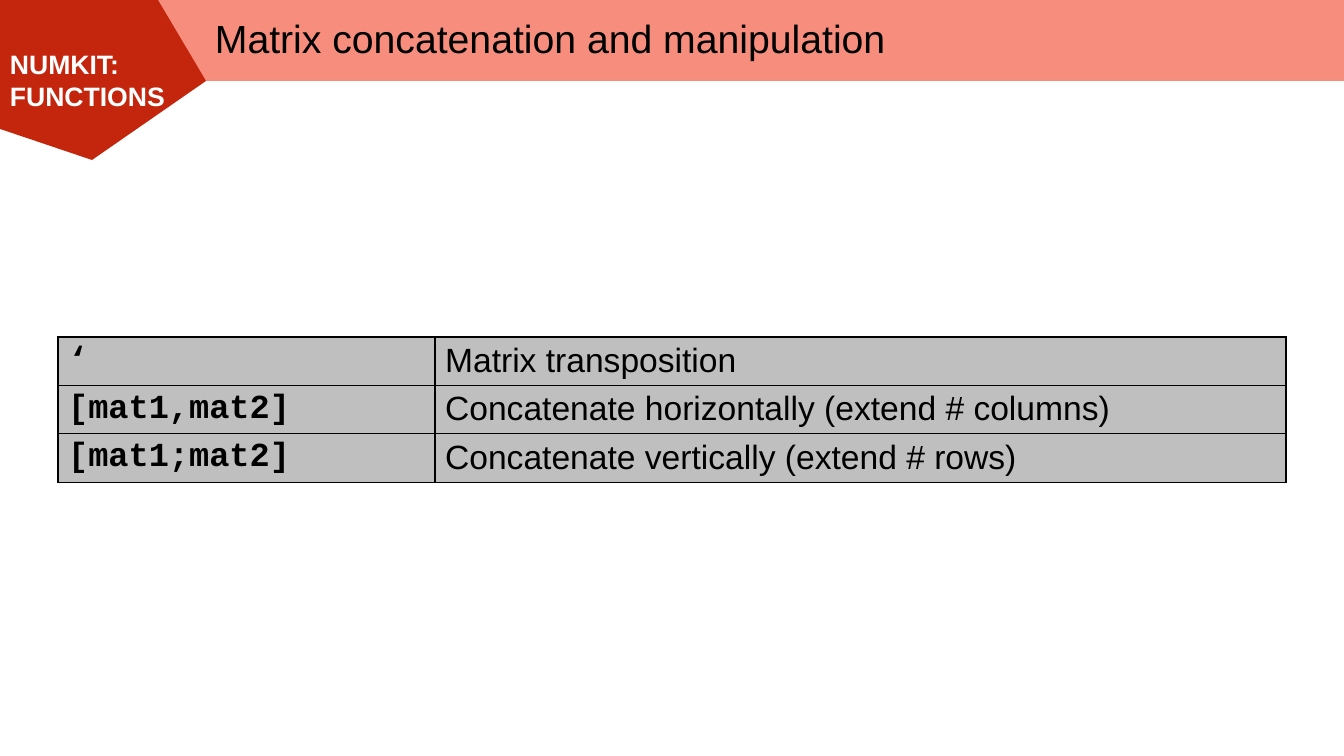
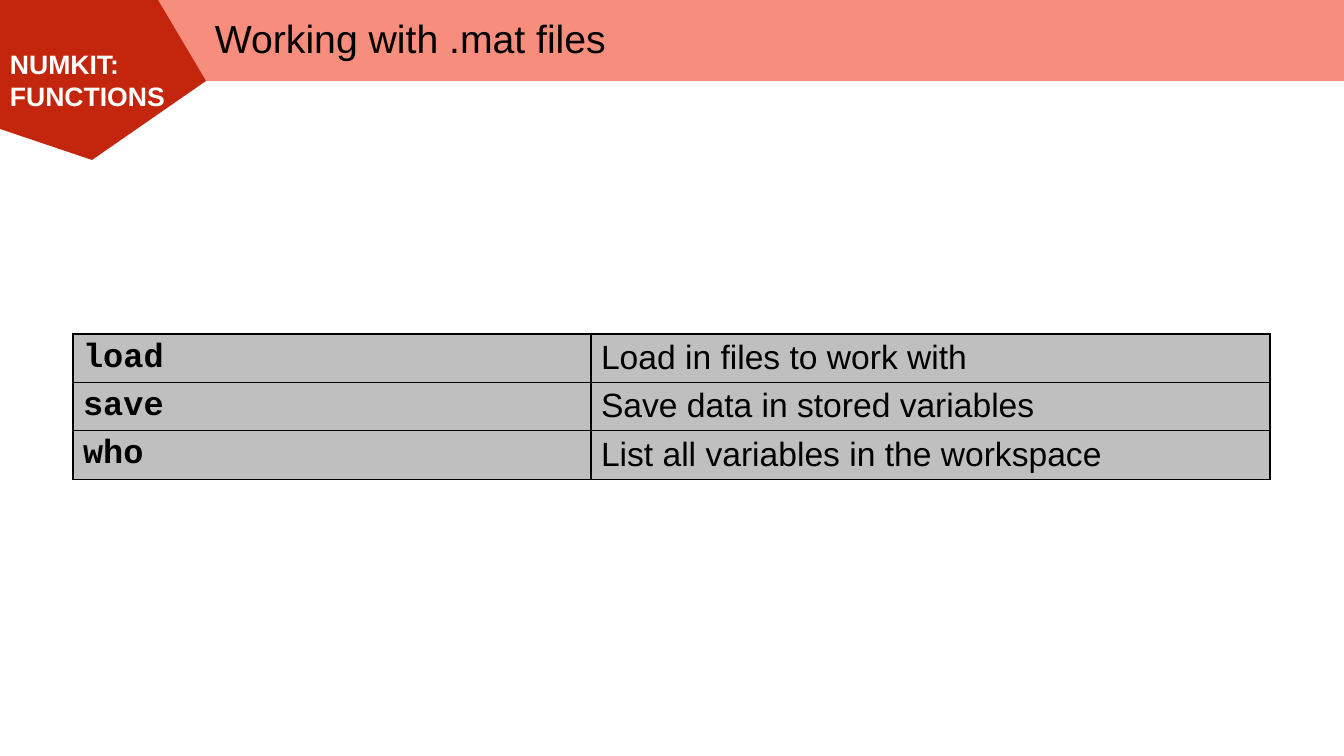
from dataclasses import dataclass

from lxml import etree
from pptx import Presentation
from pptx import util as u
from pptx.dml.color import RGBColor
from pptx.enum import shapes, text
from pptx.oxml import ns

EMU_PER_PX = 914400 / 100.8
SLIDE_WIDTH, SLIDE_HEIGHT = 1344, 756
ROW_HEIGHT = 48
CELL_BOTTOM_MARGIN = 3

COLORS = {
    "band": "F78D7C",
    "badge": "C3260C",
    "cell": "BFBFBF",
    "ink": "000000",
    "light": "FFFFFF",
}
BODY_FONT, CODE_FONT = "Arial", "Courier New"
BADGE_POINTS = [(158, 0), (0, 0), (0, 129), (92, 160), (206, 81)]


@dataclass(frozen=True)
class FunctionSlide:
    title: str
    left: int
    top: int
    columns: tuple[int, int]
    rows: list[tuple[str, str]]


SLIDES = [
    FunctionSlide("Matrix concatenation and manipulation", 58, 337, (377, 851), [
        ("‘", "Matrix transposition"),
        ("[mat1,mat2]", "Concatenate horizontally (extend # columns)"),
        ("[mat1;mat2]", "Concatenate vertically (extend # rows)"),
    ]),
    FunctionSlide("Working with .mat files", 73, 334, (518, 679), [
        ("load", "Load in files to work with"),
        ("save", "Save data in stored variables"),
        ("who", "List all variables in the workspace"),
    ]),
]


def px(length: int) -> int:
    return u.Emu(round(length * EMU_PER_PX))


def color(name: str) -> RGBColor:
    return RGBColor.from_string(COLORS[name])


def add_run(paragraph, words: str, size: int, ink: str = "ink",
            font: str = BODY_FONT, bold: bool = False) -> None:
    run = paragraph.add_run()
    run.text = words
    run.font.name = font
    run.font.size = u.Pt(size)
    run.font.bold = bold
    run.font.color.rgb = color(ink)


def paint(shape, fill: str) -> None:
    shape.shadow.inherit = False
    shape.fill.solid()
    shape.fill.fore_color.rgb = color(fill)
    shape.line.fill.background()


def add_header(slide, title: str) -> None:
    # Band across the top
    band = slide.shapes.add_shape(
        shapes.MSO_SHAPE.RECTANGLE, px(92), 0, px(SLIDE_WIDTH - 92), px(81))
    paint(band, "band")

    # Pentagon badge
    builder = slide.shapes.build_freeform(*BADGE_POINTS[0], scale=EMU_PER_PX)
    builder.add_line_segments(BADGE_POINTS[1:], close=True)
    badge = builder.convert_to_shape()
    paint(badge, "badge")
    badge.text_frame.word_wrap = True
    badge.text_frame.vertical_anchor = text.MSO_ANCHOR.MIDDLE
    paragraph = badge.text_frame.paragraphs[0]
    paragraph.alignment = text.PP_ALIGN.LEFT
    add_run(paragraph, "NUMKIT: FUNCTIONS", 19, "light", bold=True)

    # Title
    box = slide.shapes.add_textbox(px(205), px(10), px(SLIDE_WIDTH - 205), px(62))
    box.text_frame.word_wrap = True
    box.text_frame.vertical_anchor = text.MSO_ANCHOR.MIDDLE
    paragraph = box.text_frame.paragraphs[0]
    paragraph.line_spacing = 0.9
    add_run(paragraph, title, 28)


def style_cell(cell) -> None:
    cell.margin_bottom = px(CELL_BOTTOM_MARGIN)
    properties = cell._tc.get_or_add_tcPr()
    for side in ("a:lnL", "a:lnR", "a:lnT", "a:lnB"):
        line = etree.SubElement(properties, ns.qn(side), w=str(u.Pt(1)))
        fill = etree.SubElement(line, ns.qn("a:solidFill"))
        etree.SubElement(fill, ns.qn("a:srgbClr"), val=COLORS["ink"])
    cell.fill.solid()
    cell.fill.fore_color.rgb = color("cell")


def add_function_table(slide, content: FunctionSlide) -> None:
    count = len(content.rows)
    table = slide.shapes.add_table(
        count, len(content.columns), px(content.left), px(content.top),
        px(sum(content.columns)), px(ROW_HEIGHT * count)).table
    table.first_row = table.horz_banding = False
    for column, width in zip(table.columns, content.columns):
        column.width = px(width)
    for row, (code, meaning) in zip(table.rows, content.rows):
        row.height = px(ROW_HEIGHT)
        code_cell, meaning_cell = row.cells
        style_cell(code_cell)
        style_cell(meaning_cell)
        add_run(code_cell.text_frame.paragraphs[0], code, 24,
                font=CODE_FONT, bold=True)
        add_run(meaning_cell.text_frame.paragraphs[0], meaning, 24)


def main() -> None:
    presentation = Presentation()
    presentation.slide_width = px(SLIDE_WIDTH)
    presentation.slide_height = px(SLIDE_HEIGHT)
    for content in SLIDES:
        slide = presentation.slides.add_slide(presentation.slide_layouts[6])
        add_header(slide, content.title)
        add_function_table(slide, content)
    presentation.save("out.pptx")


if __name__ == "__main__":
    main()
